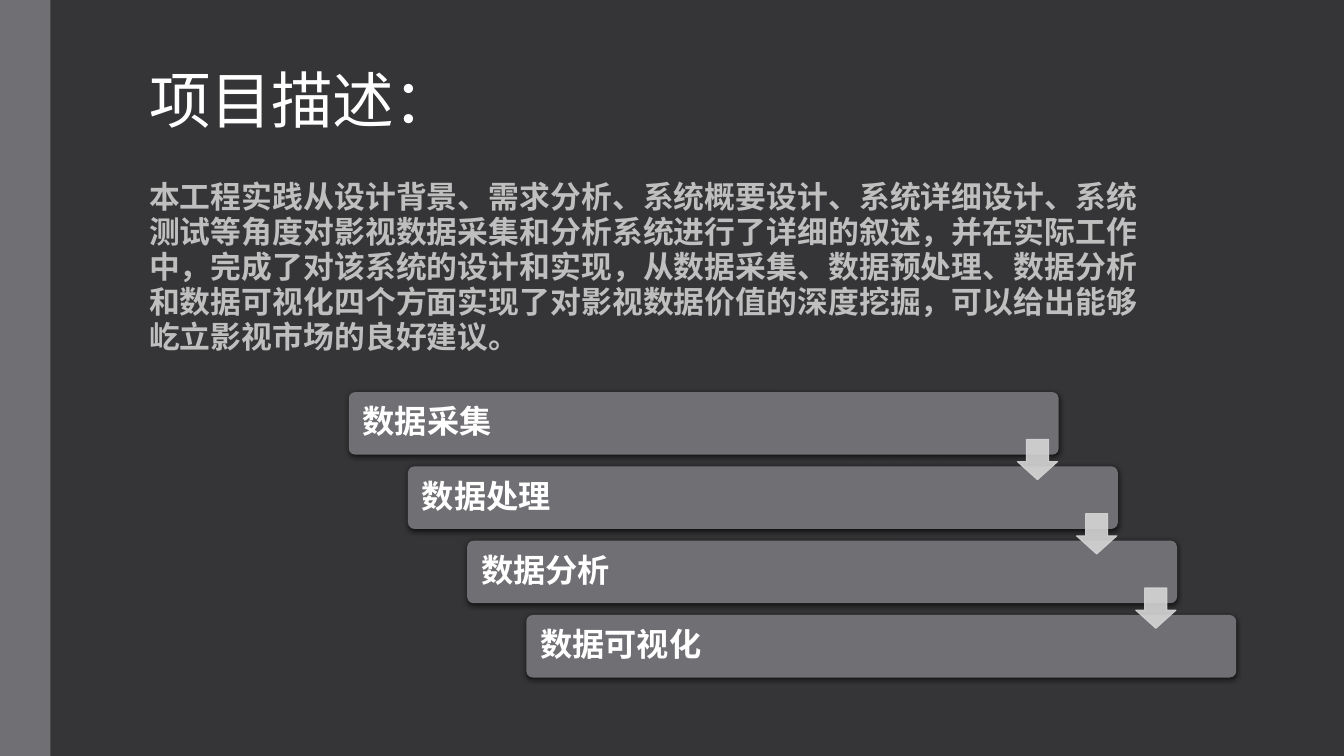
from dataclasses import dataclass

from lxml.etree import SubElement
from pptx import Presentation
from pptx.dml.color import RGBColor
from pptx.enum.shapes import MSO_SHAPE
from pptx.enum.text import MSO_ANCHOR, MSO_AUTO_SIZE, PP_ALIGN
from pptx.oxml.ns import qn
from pptx.util import Inches, Pt


@dataclass(frozen=True)
class Theme:
    font: str = "TeX Gyre Schola"
    background: str = "353537"
    panel: str = "6F6F74"
    arrow: str = "D5D5D6"
    light: str = "FFFFFF"
    muted: str = "BFBFBF"
    title: int = 44
    body: int = 22
    step: int = 23


THEME = Theme()
WIDTH, HEIGHT = 13.33, 7.5

# Content column and staircase grid, in inches
LEFT, COLUMN = 1.38, 10.3
STEP_X, STEP_Y, STEP_W, STEP_H = 3.46, 3.89, 7.04, 0.62
SHIFT_X, SHIFT_Y = 0.587, 0.737
ARROW, ARROW_DX, ARROW_DY = 0.4, 6.63, 0.47

DESCRIPTION = (
    "本工程实践从设计背景、需求分析、系统概要设计、系统详细设计、系统测试等角度"
    "对影视数据采集和分析系统进行了详细的叙述，并在实际工作中，完成了对该系统的"
    "设计和实现，从数据采集、数据预处理、数据分析和数据可视化四个方面实现了对影视"
    "数据价值的深度挖掘，可以给出能够屹立影视市场的良好建议。"
)
STEPS = ["数据采集", "数据处理", "数据分析", "数据可视化"]


def write(tf, text, size, color, bold=False, line_spacing=0.9, tracking=0):
    """Fill a text frame with one left-aligned paragraph."""
    tf.word_wrap = True
    tf.auto_size = MSO_AUTO_SIZE.NONE
    p = tf.paragraphs[0]
    p.text = text
    p.alignment = PP_ALIGN.LEFT
    p.line_spacing = line_spacing
    font = p.font
    font.name, font.size, font.bold = THEME.font, Pt(size), bold
    font.color.rgb = RGBColor.from_string(color)
    # East Asian typeface and letter spacing
    props = p._p.pPr.find(qn("a:defRPr"))
    props.set("spc", str(round(tracking * 100)))
    SubElement(props, qn("a:ea"), typeface=THEME.font)
    return p


def add_block(s, kind, x, y, w, h, color):
    """Add a flat preset shape without an outline."""
    sp = s.shapes.add_shape(kind, Inches(x), Inches(y), Inches(w), Inches(h))
    sp.shadow.inherit = False
    sp.fill.solid()
    sp.fill.fore_color.rgb = RGBColor.from_string(color)
    sp.line.fill.background()
    return sp


def add_shadow(sp):
    effects = sp._element.spPr.find(qn("a:effectLst"))
    shadow = SubElement(effects, qn("a:outerShdw"), blurRad=str(Pt(4)),
                        dist=str(Pt(1.2)), dir="5400000", rotWithShape="0")
    color = SubElement(shadow, qn("a:srgbClr"), val="000000")
    SubElement(color, qn("a:alpha"), val="75000")


def add_title(s, text):
    title = s.shapes.title
    title.left, title.top = Inches(LEFT), Inches(0.83)
    title.width, title.height = Inches(COLUMN), Inches(0.57)
    title.text_frame.vertical_anchor = MSO_ANCHOR.BOTTOM
    write(title.text_frame, text, THEME.title, THEME.light,
          line_spacing=0.85, tracking=-0.5)


def add_description(s, text):
    box = s.shapes.add_textbox(Inches(LEFT), Inches(1.74), Inches(COLUMN), Inches(1.9))
    write(box.text_frame, text, THEME.body, THEME.muted, bold=True,
          line_spacing=0.95, tracking=0.1)


def add_step(s, index, text):
    sp = add_block(s, MSO_SHAPE.ROUNDED_RECTANGLE, STEP_X + index * SHIFT_X,
                   STEP_Y + index * SHIFT_Y, STEP_W, STEP_H, THEME.panel)
    sp.adjustments[0] = 0.1
    add_shadow(sp)
    tf = sp.text_frame
    tf.margin_left = Inches(0.12)
    tf.vertical_anchor = MSO_ANCHOR.MIDDLE
    write(tf, text, THEME.step, THEME.light, bold=True)


def add_arrow(s, index):
    sp = add_block(s, MSO_SHAPE.DOWN_ARROW, STEP_X + ARROW_DX + index * SHIFT_X,
                   STEP_Y + ARROW_DY + index * SHIFT_Y, ARROW, ARROW, THEME.arrow)
    sp.adjustments[0], sp.adjustments[1] = 0.45, 0.55
    sp.adjustments[0], sp.adjustments[1] = 0.55, 0.45
    sp.line.color.rgb = RGBColor.from_string(THEME.arrow)
    sp.line.width = Pt(0.75)
    # Slight transparency on fill and outline
    for color in sp._element.spPr.iter(qn("a:srgbClr")):
        SubElement(color, qn("a:alpha"), val="90000")


def main():
    prs = Presentation()
    prs.slide_width, prs.slide_height = Inches(WIDTH), Inches(HEIGHT)
    s = prs.slides.add_slide(prs.slide_layouts[5])
    s.background.fill.solid()
    s.background.fill.fore_color.rgb = RGBColor.from_string(THEME.background)

    # Side bar, heading and text
    add_block(s, MSO_SHAPE.RECTANGLE, 0, 0, 0.5, HEIGHT, THEME.panel)
    add_title(s, "项目描述：")
    add_description(s, DESCRIPTION)

    # Staircase of steps, with an arrow between neighbours
    for index, text in enumerate(STEPS):
        add_step(s, index, text)
    for index in range(len(STEPS) - 1):
        add_arrow(s, index)

    prs.save("out.pptx")


if __name__ == "__main__":
    main()
